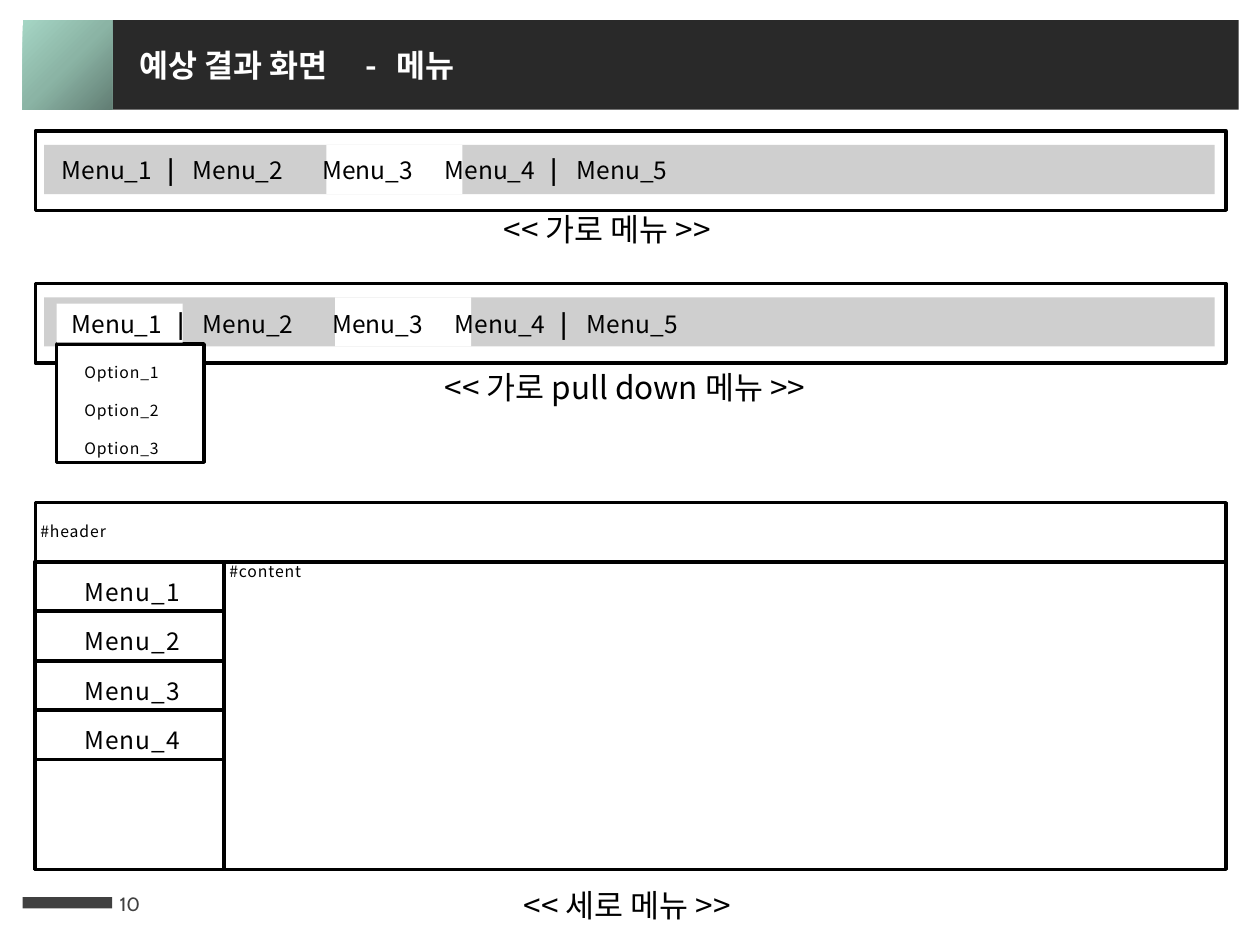
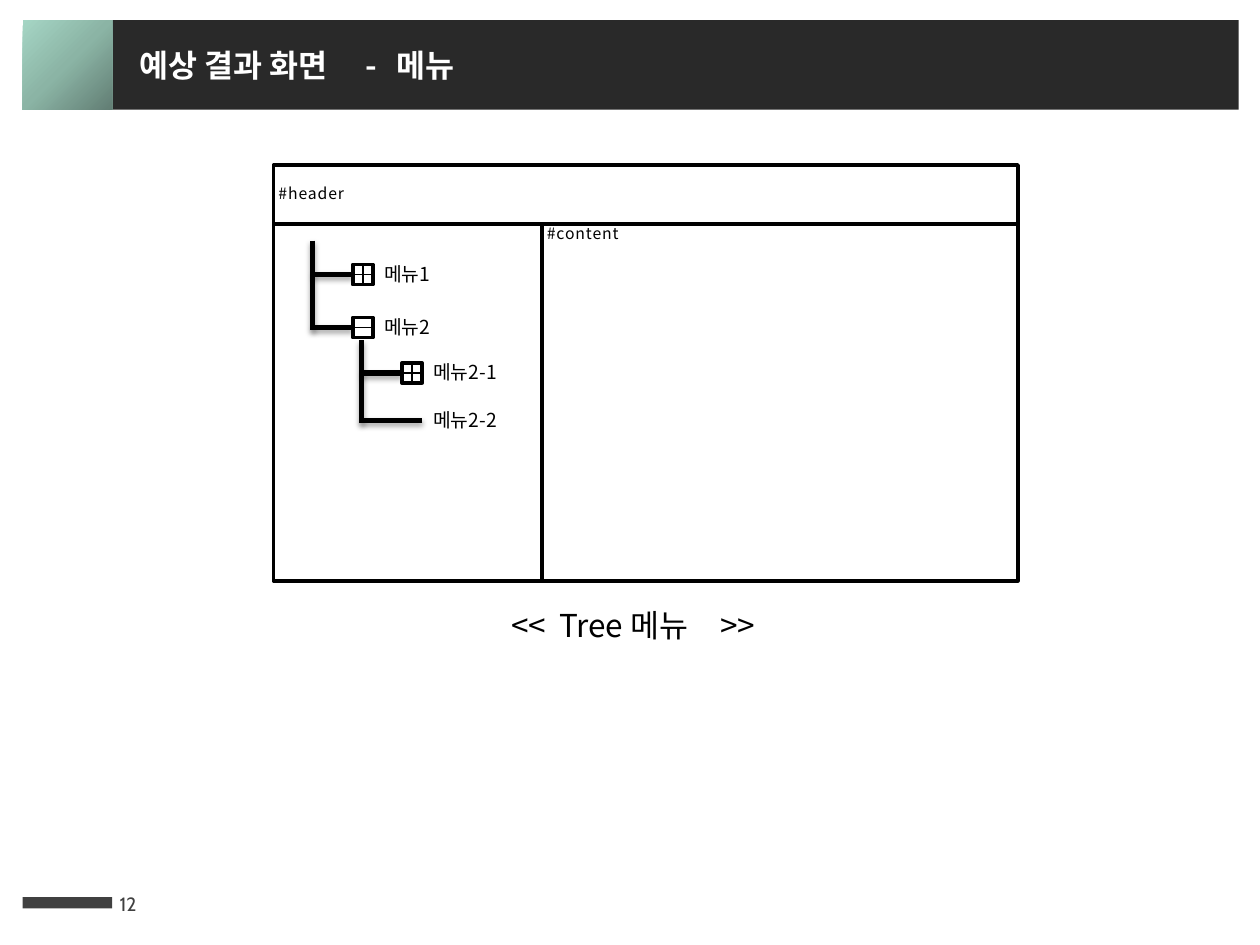
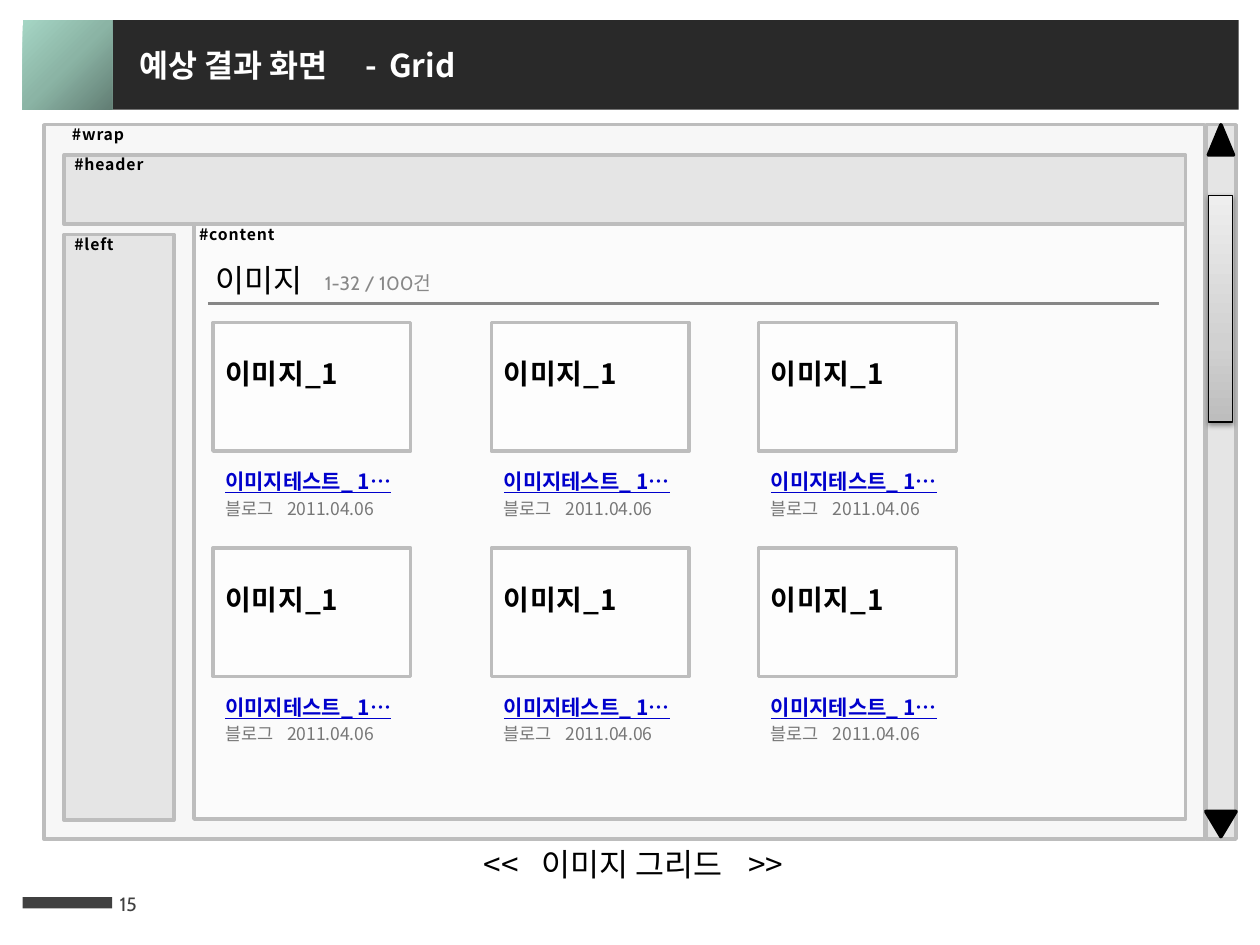
"""Builds three slides of menu and grid screen mock-ups."""
from pptx import Presentation
from pptx.dml.color import RGBColor
from pptx.enum.shapes import MSO_CONNECTOR as Link, MSO_SHAPE as Form
from pptx.enum.text import MSO_ANCHOR as Anchor, PP_ALIGN as Align
from pptx.oxml import parse_xml
from pptx.oxml.ns import nsdecls
from pptx.util import Inches, Pt

COLORS = {
    "black": "000000", "white": "FFFFFF", "band": "292929", "footer": "404040",
    "bar": "CFCFCF", "wrap": "F7F7F7", "panel": "E5E5E5", "edge": "BDBDBD",
    "rule": "868686", "count": "888888", "link": "0000CC", "date": "777777",
}
BADGE_STOPS = [(0, "627E74"), (50, "8BB4A5"), (100, "A5D5C4")]
THUMB_STOPS = [(0, "BDBDBD"), (35, "D1D1D1"), (100, "EEEEEE")]
BADGE_SHADE = '<a:path path="circle"><a:fillToRect l="100000" t="100000"/></a:path>'
THUMB_SHADE = '<a:lin ang="16200000" scaled="0"/>'
SANS, NUMERIC = "Noto Sans CJK KR", "Cabin"
MENU_TABS = (0.84, 1.04, 2.07, 3.04, 3.88, 4.09)
MENU_RUNS = [("Menu_1\t", False), ("|", True), ("\tMenu_2\tMenu_3\tMenu_4\t", False),
             ("|", True), ("\tMenu_5", False)]


def drawing(tag, attributes="", content=""):
    """Return one DrawingML element."""
    return parse_xml(f'<a:{tag} {nsdecls("a")} {attributes}>{content}</a:{tag}>')


class Deck:
    """Holds the shared style and the slide being drawn."""

    def __init__(self):
        """Start an empty deck."""
        self.show = Presentation()
        self.show.slide_width, self.show.slide_height = Inches(10), Inches(7.5)
        self.slide = None

    def page(self, topic, number, topic_tab):
        """Add a slide with its title band and footer."""
        self.slide = self.show.slides.add_slide(self.show.slide_layouts[6])
        self.box(0.89, 0.16, 8.94, 0.71, "band", None)
        badge = self.box(0.18, 0.16, 0.71, 0.71, "white", None)
        self.gradient(badge, BADGE_STOPS, BADGE_SHADE)
        self.box(0.18, 7.12, 0.71, 0.09, "footer", None)
        self.text(0.85, 6.97, 0.59, 0.4, number, 11, "footer", name=NUMERIC,
                  anchor=Anchor.MIDDLE)
        self.text(1.01, 0.32, 6.99, 0.4, f"예상 결과 화면\t-\t{topic}", 18, "white",
                  tabs=(1.79, topic_tab), bold=True)

    def set_lines(self, frame, lines, size, color="black", spacing=None, align=Align.LEFT,
                  tabs=(), tracking=0, name=SANS, **extra):
        """Fill a text frame, one paragraph per line."""
        for index, line in enumerate(lines):
            paragraph = frame.add_paragraph() if index else frame.paragraphs[0]
            paragraph.alignment = align
            if spacing:
                paragraph.line_spacing = spacing
            if tabs:
                stops = "".join(f'<a:tab pos="{Inches(stop)}" algn="l"/>' for stop in tabs)
                paragraph._p.get_or_add_pPr().append(drawing("tabLst", content=stops))
            for words, bold in [(line, False)] if isinstance(line, str) else line:
                run = paragraph.add_run()
                run.text = words
                formats = {"name": name, "size": Pt(size), "bold": bold, **extra}
                for key, value in formats.items():
                    setattr(run.font, key, value)
                run.font.color.rgb = RGBColor.from_string(COLORS[color])
                properties = run._r.get_or_add_rPr()
                properties.append(drawing("ea", f'typeface="{SANS}"'))
                if tracking:
                    properties.set("spc", str(tracking))

    def text(self, left, top, width, height, line, size, color="black",
             anchor=Anchor.TOP, **style):
        """Add a one-line text box."""
        frame = self.slide.shapes.add_textbox(
            *map(Inches, (left, top, width, height))).text_frame
        frame.word_wrap = True
        frame.vertical_anchor = anchor
        self.set_lines(frame, [line], size, color, **style)

    def box(self, left, top, width, height, fill="white", edge="black", weight=2,
            form=Form.RECTANGLE, alpha=None):
        """Add a filled and outlined shape."""
        shape = self.slide.shapes.add_shape(form, *map(Inches, (left, top, width, height)))
        shape.shadow.inherit = False
        shape.fill.solid()
        shape.fill.fore_color.rgb = RGBColor.from_string(COLORS[fill])
        if alpha:
            tint = shape._element.spPr.find(".//{*}srgbClr")
            tint.append(drawing("alpha", f'val="{alpha * 1000}"'))
        if edge:
            shape.line.color.rgb = RGBColor.from_string(COLORS[edge])
            shape.line.width = Pt(weight)
        else:
            shape.line.fill.background()
        return shape

    def panel(self, left, top, width, height, lines, size=9, inset=(0.04, 0),
              fill="white", edge="black", alpha=None, **style):
        """Add a box that carries text from its top left corner."""
        frame = self.box(left, top, width, height, fill, edge, alpha=alpha).text_frame
        margins = {"margin_left": inset[0], "margin_top": inset[1],
                   "margin_right": 0, "margin_bottom": 0}
        for key, value in margins.items():
            setattr(frame, key, Inches(value))
        frame.word_wrap = True
        frame.vertical_anchor = Anchor.TOP
        self.set_lines(frame, lines, size, tracking=50, **style)

    def gradient(self, shape, stops, shade):
        """Replace the solid fill of a shape by a gradient."""
        marks = "".join(f'<a:gs pos="{at * 1000}"><a:srgbClr val="{color}"/></a:gs>'
                        for at, color in stops)
        solid = shape._element.spPr.find("{*}solidFill")
        solid.getparent().replace(solid, drawing(
            "gradFill", 'rotWithShape="1"', f"<a:gsLst>{marks}</a:gsLst>{shade}"))

    def shade(self, shape, opacity, distance):
        """Cast a soft shadow below a shape, or none at zero opacity."""
        shadow = (f'<a:outerShdw blurRad="{Pt(3.1)}" dist="{Pt(distance)}" dir="5400000" '
                  f'rotWithShape="0"><a:srgbClr val="{COLORS["black"]}">'
                  f'<a:alpha val="{opacity * 1000}"/></a:srgbClr></a:outerShdw>')
        properties = shape._element.spPr
        for effects in properties.findall("{*}effectLst"):
            properties.remove(effects)
        properties.append(drawing("effectLst", content=shadow if opacity else ""))

    def line(self, x1, y1, x2, y2, weight, color="black", opacity=0):
        """Draw a straight line."""
        stroke = self.slide.shapes.add_connector(
            Link.STRAIGHT, *map(Inches, (x1, y1, x2, y2)))
        stroke.line.color.rgb = RGBColor.from_string(COLORS[color])
        stroke.line.width = Pt(weight)
        self.shade(stroke, opacity, 1.8)

    def caption(self, left, top, width, words, tabs=()):
        """Name a mock-up below it."""
        self.text(left, top, width, 0.4, words, 18, tabs=tabs)

    def menu_bar(self, top, gap_left):
        """Draw a framed horizontal bar with its highlighted item."""
        self.box(0.28, top, 9.45, 0.63)
        self.box(0.35, top + 0.11, 9.29, 0.39, "bar", None)
        self.box(gap_left, top + 0.11, 1.08, 0.39, "white", None)

    def menu_items(self, left, top):
        """Set the items of a horizontal bar."""
        self.text(left, top, 5.95, 0.34, MENU_RUNS, 14, tabs=MENU_TABS)

    def page_frame(self, left, top, width, height, side):
        """Draw a header above a side column and a content area."""
        body = top + 0.47
        self.panel(left, top, width, 0.47, ["#header"], inset=(0.04, 0.15))
        self.panel(left + side, body, width - side, height, ["#content"])
        self.box(left, body, side, height)

    def tree_node(self, trunk, y, label, sign):
        """Draw a branch with its plus or minus box and label."""
        box_left = trunk + 0.32
        self.line(box_left if sign else trunk + 0.48, y, trunk, y, 3, opacity=35)
        if sign:
            self.box(box_left, y - 0.08, 0.16, 0.16)
            self.line(box_left, y, box_left + 0.16, y, 0.75)
        if sign == "+":
            self.line(box_left + 0.08, y - 0.08, box_left + 0.08, y + 0.08, 0.75)
        self.text(trunk + 0.47, y - 0.15, 0.87, 0.29, label, 11)

    def thumbnail(self, left, top):
        """Draw one grid entry with its link and date."""
        self.panel(left, top, 1.57, 1.02, ["이미지_1"], 16, (0.1, 0.27),
                   edge="edge", alpha=60, bold=True)
        self.text(left, top + 1.11, 1.73, 0.3, "이미지테스트_ 1…", 12, "link",
                  bold=True, underline=True)
        self.text(left, top + 1.34, 2.2, 0.27, "블로그\t2011.04.06", 10, "date",
                  tabs=(0.49,))


def bar_menus(deck):
    """Build the horizontal, pull-down and vertical menus."""
    deck.page("메뉴", "10", 2.04)
    deck.menu_bar(1.04, 2.59)
    deck.menu_items(0.39, 1.18)
    deck.caption(3.9, 1.62, 2.2, "<< 가로 메뉴 >>")
    deck.menu_bar(2.25, 2.66)
    deck.panel(0.45, 2.73, 1.17, 0.94, [f"Option_{n}" for n in range(1, 4)],
               inset=(0.22, 0), spacing=2.0)
    deck.box(0.45, 2.41, 1, 0.31, "white", None)
    deck.menu_items(0.47, 2.4)
    deck.caption(3.43, 2.87, 3.62, "<< 가로 pull down 메뉴 >>")
    deck.page_frame(0.28, 3.99, 9.45, 2.44, 1.5)
    for row in range(4):
        deck.panel(0.28, 4.46 + row * 0.393, 1.5, 0.39, [f"Menu_{row + 1}"], 14,
                   spacing=1.5, align=Align.CENTER)
    deck.box(0.28, 6.03, 1.5, 0.87)
    deck.caption(4.06, 6.98, 2.13, "<< 세로 메뉴 >>")


def tree_menu(deck):
    """Build the tree menu."""
    deck.page("메뉴", "12", 2.04)
    deck.page_frame(2.17, 1.31, 5.91, 2.83, 2.13)
    for trunk, top, bottom in [(2.48, 1.91, 2.62), (2.87, 2.7, 3.36)]:
        deck.line(trunk, top, trunk, bottom, 3, opacity=35)
    for node in [(2.48, 2.18, "메뉴1", "+"), (2.48, 2.6, "메뉴2", "-"),
                 (2.87, 2.96, "메뉴2-1", "+"), (2.87, 3.34, "메뉴2-2", "")]:
        deck.tree_node(*node)
    deck.caption(3.96, 4.76, 2.46, "<<\tTree 메뉴\t>>", (0.38, 1.66))


def image_grid(deck):
    """Build the image grid with its scroll bar."""
    deck.page("Grid", "15", 1.98)
    deck.caption(3.74, 6.66, 2.76, "<<\t이미지 그리드\t>>", (0.46, 2.1))
    for left, top, width, height, label, indent, fill, alpha in [
            (0.35, 0.99, 9.21, 5.67, "#wrap", 0.22, "wrap", None),
            (1.54, 1.78, 7.87, 4.72, "#content", 0.04, "white", 60),
            (0.51, 1.23, 8.9, 0.55, "#header", 0.08, "panel", None),
            (0.51, 1.86, 0.87, 4.65, "#left", 0.08, "panel", None)]:
        deck.panel(left, top, width, height, [label], inset=(indent, 0), fill=fill,
                   edge="edge", alpha=alpha, bold=True)
    deck.line(1.65, 2.41, 9.2, 2.41, 2, "rule")
    deck.text(1.61, 2.02, 1.26, 0.4, "이미지", 18)
    deck.text(2.48, 2.1, 1.26, 0.29, "1-32 / 100건", 11, "count", name=NUMERIC)
    for top in (2.56, 4.35):
        for left in (1.69, 3.9, 6.02):
            deck.thumbnail(left, top)
    deck.box(9.57, 0.99, 0.24, 5.67, "panel", "edge")
    thumb = deck.box(9.59, 1.55, 0.19, 1.8, weight=0.75)
    deck.gradient(thumb, THUMB_STOPS, THUMB_SHADE)
    deck.shade(thumb, 38, 1.6)
    deck.box(9.59, 0.99, 0.2, 0.24, "black", form=Form.ISOSCELES_TRIANGLE)
    down = deck.box(9.57, 6.44, 0.24, 0.2, "black", form=Form.ISOSCELES_TRIANGLE)
    down.rotation = 180


def main():
    """Build and save the deck."""
    deck = Deck()
    for build in (bar_menus, tree_menu, image_grid):
        build(deck)
    deck.show.save("out.pptx")


if __name__ == "__main__":
    main()
